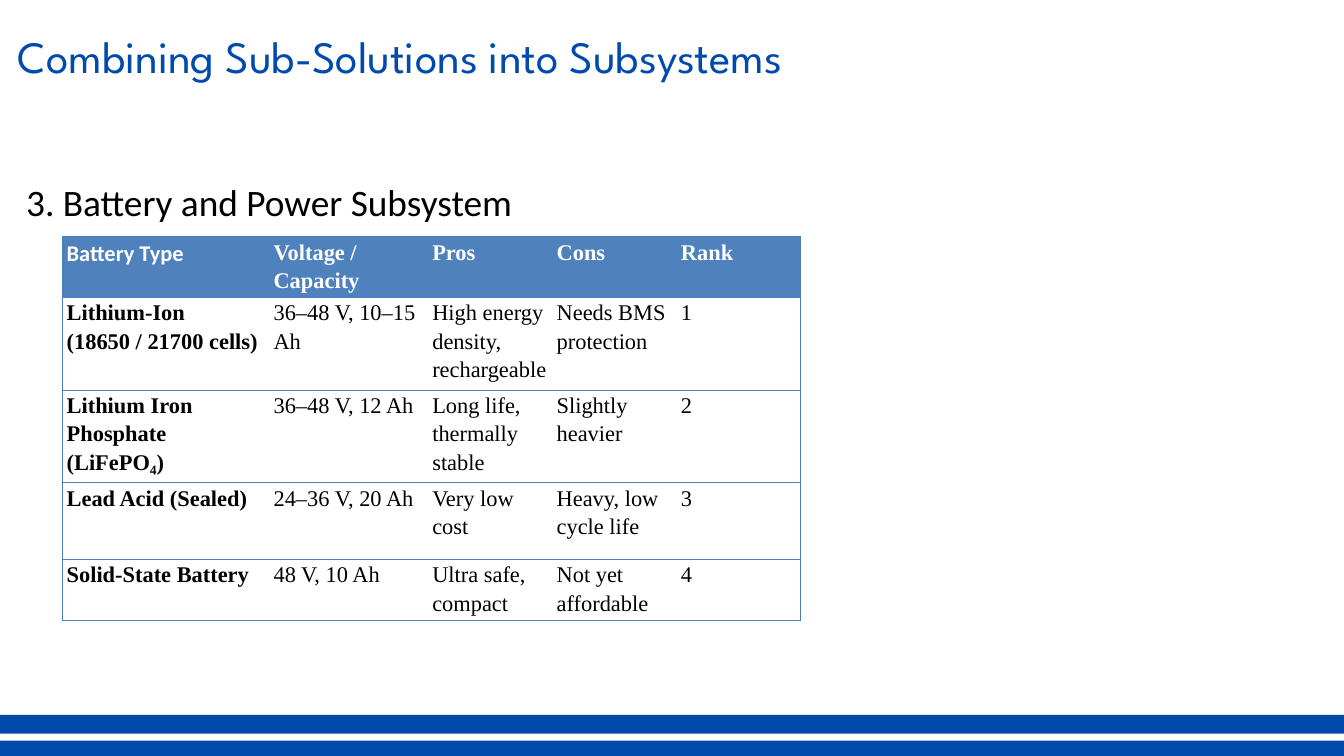
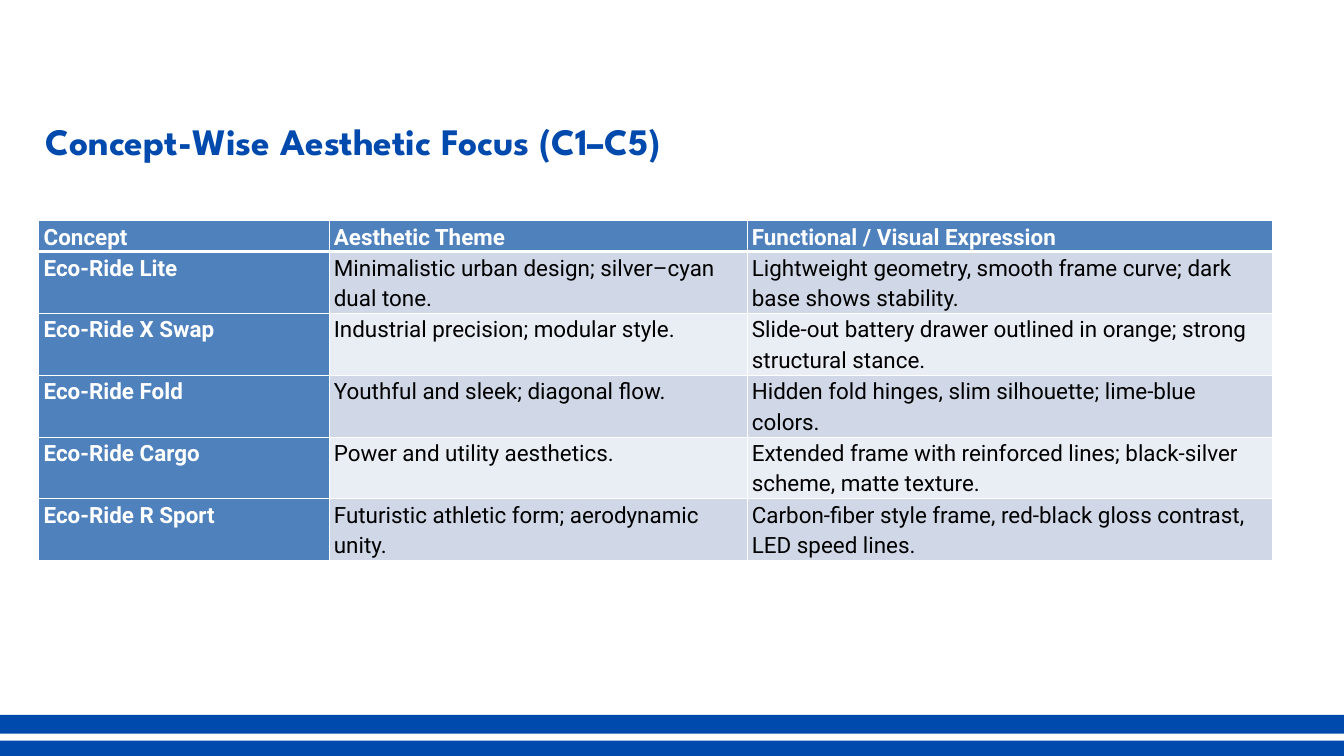
from dataclasses import dataclass

import pptx
import pptx.dml.color
import pptx.enum.shapes
import pptx.enum.text
import pptx.oxml
import pptx.oxml.ns
import pptx.util
from pptx.util import Cm


@dataclass(frozen=True)
class Theme:
    brand: str = "004AAD"
    header: str = "4F81BD"
    grid: str = "4B7EBC"
    band_dark: str = "D0D8E8"
    band_light: str = "E9EDF4"
    white: str = "FFFFFF"
    black: str = "000000"
    title_font: str = "League Spartan"
    title_size: int = 48
    heading_size: int = 40
    table_size: int = 24


theme = Theme()
NO_STYLE = "{2D5ABB26-0587-4C30-8999-92F81FD0307C}"


def add_text(s, box, text, font, size, color, bold=False):
    tf = s.shapes.add_textbox(*map(Cm, box)).text_frame
    tf.word_wrap = True
    tf.auto_size = pptx.enum.text.MSO_AUTO_SIZE.SHAPE_TO_FIT_TEXT
    p = tf.paragraphs[0]
    p.text = text
    f = p.runs[0].font
    f.name, f.size, f.bold = font, pptx.util.Pt(size), bold
    f.color.rgb = pptx.dml.color.RGBColor.from_string(color)
    return tf


def set_cell(cell, text, font, color, bold, fill, borders):
    """Fill one cell; borders maps the sides L, R, T, B to (colour, points)."""
    cell.margin_left = cell.margin_right = Cm(0.18)
    cell.margin_top = cell.margin_bottom = 0
    p = cell.text_frame.paragraphs[0]
    p.text = text
    p.line_spacing = 1.15
    p.space_after = pptx.util.Pt(10)
    f = p.runs[0].font
    f.name, f.size, f.bold = font, pptx.util.Pt(theme.table_size), bold
    f.color.rgb = pptx.dml.color.RGBColor.from_string(color)
    tcPr = cell._tc.get_or_add_tcPr()
    for side in "LRTB":
        if side in borders:
            line_color, width = borders[side]
            tcPr.append(pptx.oxml.parse_xml(
                f'<a:ln{side} {pptx.oxml.ns.nsdecls("a")} w="{pptx.util.Pt(width)}">'
                f'<a:solidFill><a:srgbClr val="{line_color}"/></a:solidFill></a:ln{side}>'))
    if fill:
        cell.fill.solid()
        cell.fill.fore_color.rgb = pptx.dml.color.RGBColor.from_string(fill)
    else:
        cell.fill.background()


prs = pptx.Presentation()
prs.slide_width, prs.slide_height = Cm(50.8), Cm(28.58)

# Slides with the shared footer bands and an unstyled table
battery_rows = [
    ["Battery Type", "Voltage / Capacity", "Pros", "Cons", "Rank"],
    ["Lithium-Ion (18650 / 21700 cells)", "36–48 V, 10–15 Ah",
     "High energy density, rechargeable", "Needs BMS protection", "1"],
    ["Lithium Iron Phosphate (LiFePO₄)", "36–48 V, 12 Ah",
     "Long life, thermally stable", "Slightly heavier", "2"],
    ["Lead Acid (Sealed)", "24–36 V, 20 Ah", "Very low cost", "Heavy, low cycle life", "3"],
    ["Solid-State Battery", "48 V, 10 Ah", "Ultra safe, compact", "Not yet affordable", "4"],
]
concept_rows = [
    ["Concept", "Aesthetic Theme", "Functional / Visual Expression"],
    ["Eco-Ride Lite", "Minimalistic urban design; silver–cyan dual tone.",
     "Lightweight geometry, smooth frame curve; dark base shows stability."],
    ["Eco-Ride X Swap", "Industrial precision; modular style.",
     "Slide-out battery drawer outlined in orange; strong structural stance."],
    ["Eco-Ride Fold", "Youthful and sleek; diagonal flow.",
     "Hidden fold hinges, slim silhouette; lime-blue colors."],
    ["Eco-Ride Cargo", "Power and utility aesthetics.",
     "Extended frame with reinforced lines; black-silver scheme, matte texture."],
    ["Eco-Ride R Sport", "Futuristic athletic form; aerodynamic unity.",
     "Carbon-fiber style frame, red-black gloss contrast, LED speed lines."],
]
layouts = [
    (battery_rows, 2.34, 8.94, [7.82, 6, 4.7, 4.7, 4.7], [2.3, 3.5, 3.5, 2.9, 2.3]),
    (concept_rows, 1.47, 8.33, [10.97, 15.8, 19.84], [1.14] + [2.34] * 5),
]
slides, tables = [], []
for rows, left, top, widths, heights in layouts:
    s = prs.slides.add_slide(prs.slide_layouts[6])
    for band_top in (27.03, 28):
        sp = s.shapes.add_shape(pptx.enum.shapes.MSO_SHAPE.RECTANGLE,
                                Cm(-0.32), Cm(band_top), Cm(51.44), Cm(0.71))
        sp.shadow.inherit = False
        sp.fill.solid()
        sp.fill.fore_color.rgb = pptx.dml.color.RGBColor.from_string(theme.brand)
        sp.line.fill.background()
    table = s.shapes.add_table(len(rows), len(widths), Cm(left), Cm(top),
                               Cm(sum(widths)), Cm(sum(heights))).table
    table.horz_banding = False
    table._tbl.tblPr.find(pptx.oxml.ns.qn("a:tableStyleId")).text = NO_STYLE
    for column, width in zip(table.columns, widths):
        column.width = Cm(width)
    for row, height in zip(table.rows, heights):
        row.height = Cm(height)
    slides.append(s)
    tables.append(table)

# Battery and power subsystem
s, table = slides[0], tables[0]
tf = add_text(s, (0.99, 5.94, 26.85, 2.29), "3. Battery and Power Subsystem",
              "Calibri", theme.heading_size, theme.black)
tf.margin_left = tf.margin_right = tf.margin_top = tf.margin_bottom = 0
tf.paragraphs[0].line_spacing = pptx.util.Pt(72.1)
add_text(s, (0.43, 0.97, 35.76, 6.25), "Combining Sub-Solutions into Subsystems",
         theme.title_font, theme.title_size, theme.brand)
rule = (theme.grid, 0.75)
for i, row in enumerate(battery_rows):
    for j, text in enumerate(row):
        borders = {"T": rule, "B": rule}
        if j == 0:
            borders["L"] = rule
        if j == len(row) - 1:
            borders["R"] = rule
        set_cell(table.cell(i, j), text,
                 "Calibri" if i == j == 0 else "Times New Roman",
                 theme.white if i == 0 else theme.black,
                 i == 0 or j == 0, theme.header if i == 0 else None, borders)

# Concept-wise aesthetic focus
s, table = slides[1], tables[1]
for i, row in enumerate(concept_rows):
    for j, text in enumerate(row):
        is_head = i == 0 or j == 0
        borders = {side: (theme.white, 1) for side in "LRTB"}
        if i < 2:
            borders["B" if i == 0 else "T"] = (theme.white, 3)
        band = theme.band_dark if i % 2 else theme.band_light
        set_cell(table.cell(i, j), text, "Roboto",
                 theme.white if is_head else theme.black,
                 is_head, theme.header if is_head else band, borders)
tf = add_text(s, (1.47, 4.09, 33.02, 2.16), "Concept-Wise Aesthetic Focus (C1–C5)",
              theme.title_font, theme.heading_size, theme.brand, bold=True)
tf.paragraphs[0].line_spacing = 1.15
tf.paragraphs[0].space_after = pptx.util.Pt(10)

prs.save("out.pptx")
